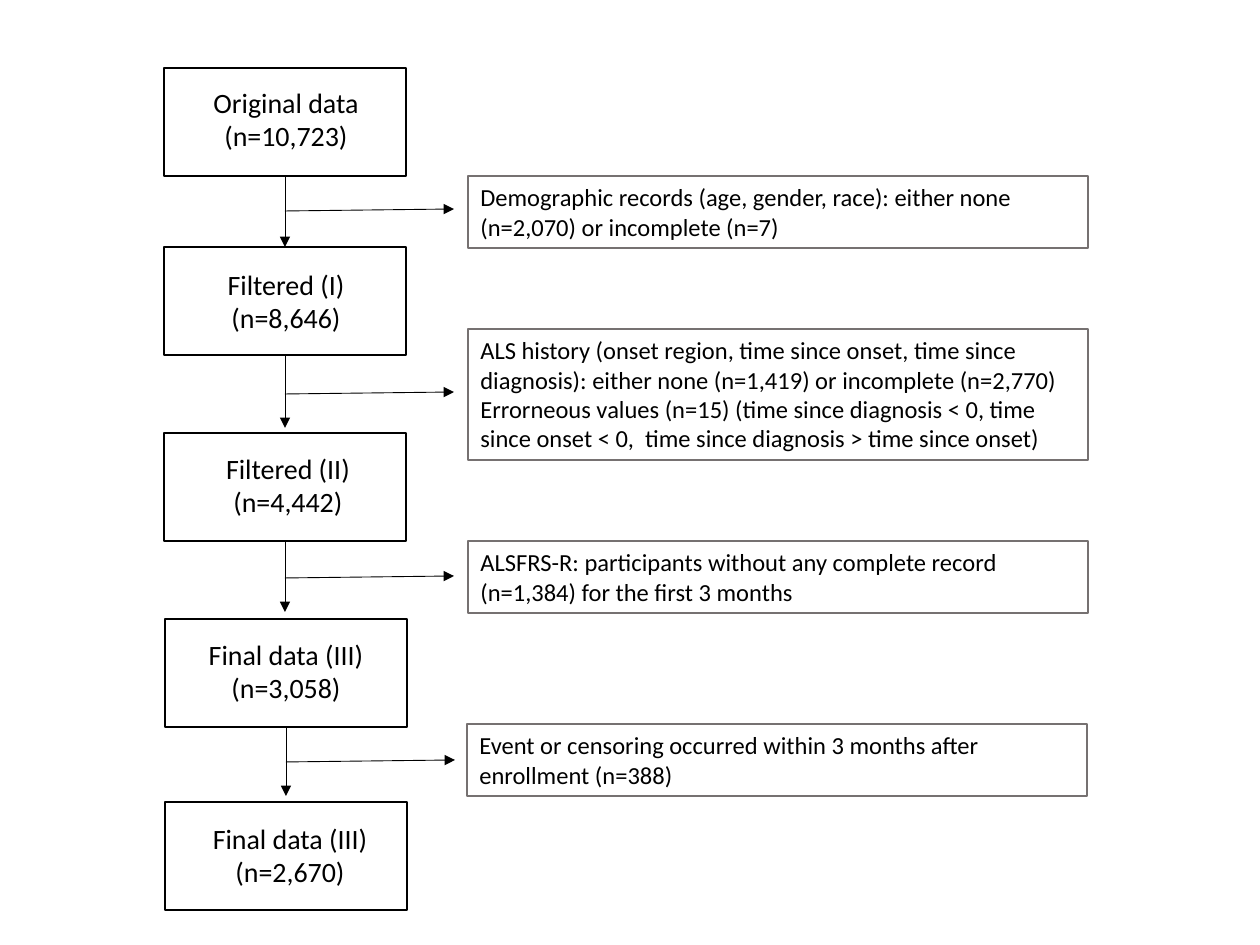
from typing import NamedTuple

from lxml.etree import SubElement
from pptx import Presentation
from pptx.dml.color import RGBColor
from pptx.enum.shapes import MSO_CONNECTOR as Link, MSO_SHAPE as Kind
from pptx.enum.text import PP_ALIGN as Align
from pptx.oxml.ns import qn
from pptx.util import Pt

PX = 914400 / 126  # EMU in one px
BOX_W, BOX_H = 242, 108
NOTE_W, TEXT_H = 620, 81
ARM, RISE = 169, 2  # side arrow: length and slight climb
BLACK, GRAY = "000000", "767171"


class Step(NamedTuple):
    left: int
    top: int
    text: str
    text_x: int  # centre of the label
    text_y: int
    text_w: int


class Note(NamedTuple):
    left: int
    top: int
    high: int
    text: str
    fork: int  # where the side arrow leaves the down arrow
    tip: int  # where the down arrow ends


STEPS = [
    Step(164, 68, "Original data\n(n=10,723)", 286, 79, 171),
    Step(164, 247, "Filtered (I)\n(n=8,646)", 286, 261, 144),
    Step(164, 433, "Filtered (II)\n(n=4,442)", 288, 445, 151),
    Step(165, 619, "Final data (III)\n(n=3,058)", 286, 631, 181),
    Step(165, 802, "Final data (III)\n(n=2,670)", 290, 815, 181),
]
NOTES = [
    Note(468, 176, 72, "Demographic records (age, gender, race): either none "
         "(n=2,070) or incomplete (n=7)", 211, 247),
    Note(468, 329, 131, "ALS history (onset region, time since onset, time since "
         "diagnosis): either none (n=1,419) or incomplete (n=2,770) "
         "Errorneous values (n=15) (time since diagnosis < 0, time since "
         "onset < 0,  time since diagnosis > time since onset)", 394, 428),
    Note(468, 541, 72, "ALSFRS-R: participants without any complete record "
         "(n=1,384) for the first 3 months", 578, 612),
    Note(467, 724, 72, "Event or censoring occurred within 3 months after "
         "enrollment (n=388)", 762, 796),
]


def emu(*px: float) -> list[int]:
    return [round(n * PX) for n in px]


def color(code: str) -> RGBColor:
    return RGBColor.from_string(code)


def stroke(item, code: str, width: float) -> None:
    item.line.color.rgb = color(code)
    item.line.width = Pt(width)


def write(shapes, area: list[int], text: str, size: int, align, wrap: bool):
    box = shapes.add_textbox(*area)
    frame = box.text_frame
    frame.word_wrap = wrap
    frame.text = text
    for para in frame.paragraphs:
        para.alignment = align
        para.font.name = "Calibri"
        para.font.size = Pt(size)
        para.font.color.rgb = color(BLACK)
    return box


def draw_step(shapes, step: Step):
    box = shapes.add_shape(Kind.RECTANGLE, *emu(step.left, step.top, BOX_W, BOX_H))
    box.shadow.inherit = False
    box.fill.background()
    stroke(box, BLACK, 1)
    area = emu(step.text_x - step.text_w / 2, step.text_y, step.text_w, TEXT_H)
    write(shapes, area, step.text, 16, Align.CENTER, False)
    return box


def draw_note(shapes, note: Note) -> None:
    area = emu(note.left, note.top, NOTE_W, note.high)
    box = write(shapes, area, note.text, 14, Align.LEFT, True)
    stroke(box, GRAY, 0.75)


def arrow(shapes, x1: int, y1: int, x2: int, y2: int):
    line = shapes.add_connector(Link.STRAIGHT, *emu(x1, y1, x2, y2))
    stroke(line, BLACK, 0.5)
    SubElement(line.line._get_or_add_ln(), qn("a:tailEnd"), type="triangle")
    SubElement(line._element.spPr, qn("a:effectLst"))
    return line


def main() -> None:
    deck = Presentation()
    deck.slide_width, deck.slide_height = emu(1260, 945)
    shapes = deck.slides.add_slide(deck.slide_layouts[6]).shapes

    # Main column and notes
    boxes = [draw_step(shapes, step) for step in STEPS]
    for note in NOTES:
        draw_note(shapes, note)

    # Down arrows, each with a branch towards its note
    for i, (step, note) in enumerate(zip(STEPS, NOTES)):
        mid = step.left + BOX_W // 2
        down = arrow(shapes, mid, step.top + BOX_H, mid, note.tip)
        down.begin_connect(boxes[i], 2)
        if note.tip == STEPS[i + 1].top:
            down.end_connect(boxes[i + 1], 0)
        arrow(shapes, mid, note.fork, mid + ARM, note.fork - RISE)

    deck.save("out.pptx")


if __name__ == "__main__":
    main()
